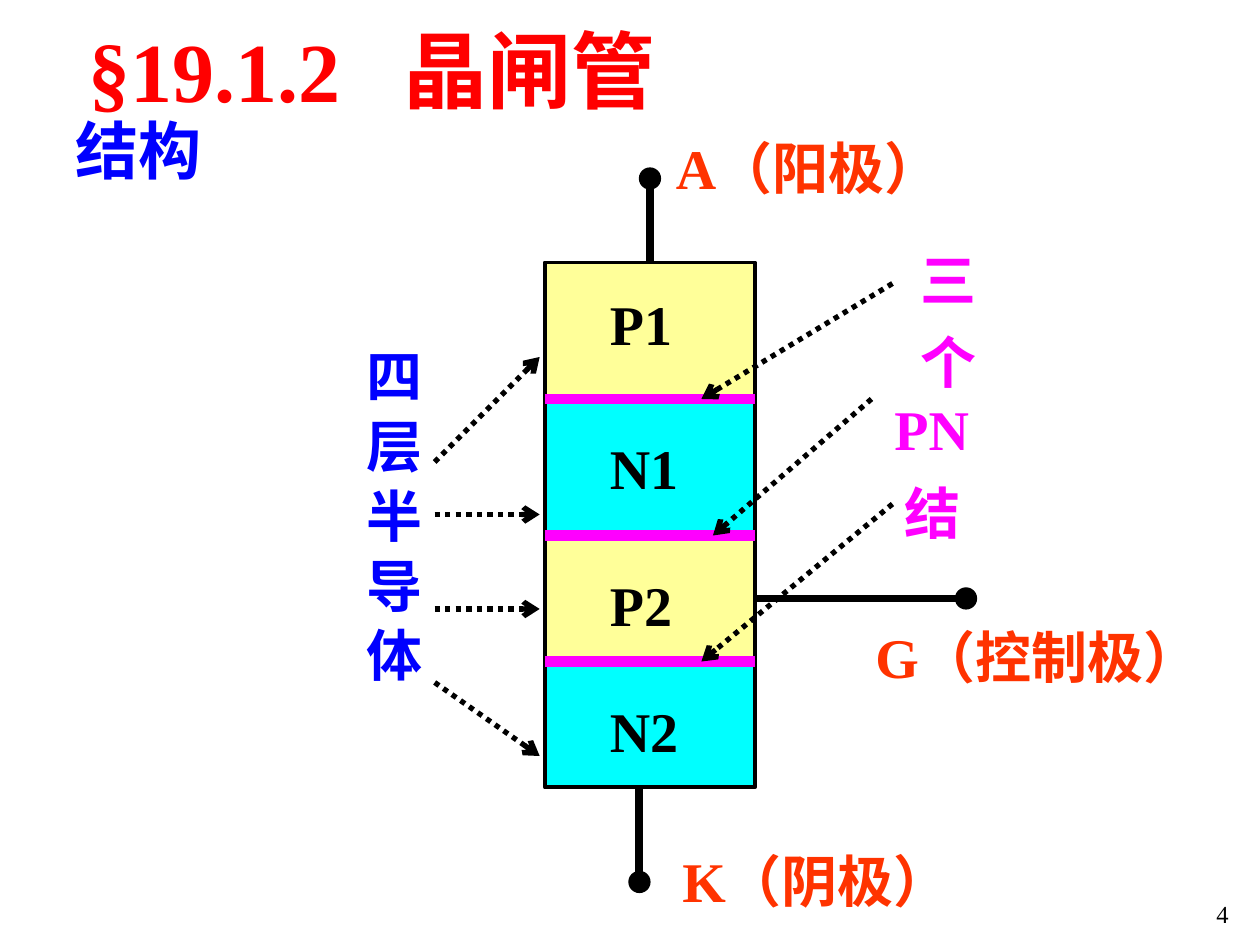
import pptx
import pptx.util
import pptx.dml.color
import pptx.enum.dml
import pptx.enum.shapes
import pptx.enum.text
import pptx.oxml.ns
from lxml import etree

COLUMNS, ROWS = 120, 90
FONT = "Times New Roman"
BLACK, BLUE, RED, ORANGE, MAGENTA = "000000", "0000FF", "FF0000", "FF3300", "FF00FF"
YELLOW, CYAN = "FFFF99", "00FFFF"
BLOCK_LEFT, BLOCK_WIDTH, LABEL_LEFT = 51.9, 20, 56.9

TITLE = "§19.1.2\t晶闸管"
LAYERS = [("P1", 25, 13, YELLOW, 27), ("N1", 38, 13, CYAN, 40.7),
          ("P2", 51, 12, YELLOW, 53.7), ("N2", 63, 12, CYAN, 65.7)]
JUNCTION_ROWS = [38, 51, 63]
CAPTIONS = [
    ("结构", (6, 10, 14.4, 8.4), {"size": 36, "color": BLUE}),
    ("A（阳极）", (63.2, 12.1, 28.9, 7.7), {"color": ORANGE}),
    ("K（阴极）", (63.8, 80, 29.2, 7.7), {"color": ORANGE}),
    ("G（控制极）", (82.2, 58.7, 34.6, 7.7), {"color": ORANGE}),
    ("三\t个", (85.1, 22.8, 8.8, 16), {"color": MAGENTA, "vertical": True, "tab": 0.65}),
    ("PN", (84, 37, 9.5, 7.7), {"color": MAGENTA}),
    ("结", (85, 45, 7.8, 7.7), {"color": MAGENTA}),
    ("四 层 半 导 体", (32.4, 32, 8.8, 42), {"color": BLUE, "vertical": True}),
    ("4", (93.2, 85, 25, 5), {"size": 14, "bold": False, "right": True}),
]
POINTERS = [
    ((41.4, 44), (51.4, 34)), ((41.4, 49), (51.4, 49)),
    ((41.4, 58), (51.4, 58)), ((41.4, 65), (51.4, 72)),
    ((85, 27), (66.8, 38)), ((83, 38), (67.9, 51)), ((85, 48), (66.8, 63)),
]
TERMINALS = [
    {"dot": (61.9, 17), "foot": (61.9, 25), "layer": "P1", "site": 0},
    {"dot": (92, 57), "foot": (71.9, 57), "layer": "P2", "site": 3},
    {"dot": (60.9, 84), "foot": (60.9, 75)},
]

deck = pptx.Presentation()
deck.slide_width, deck.slide_height = pptx.util.Inches(10), pptx.util.Inches(7.5)
page = deck.slides.add_slide(deck.slide_layouts[5])


def rgb(value):
    """Turn a hex string into a colour."""
    return pptx.dml.color.RGBColor.from_string(value)


def grid(*lengths):
    """Turn alternating column and row counts into slide lengths."""
    steps = (deck.slide_width / COLUMNS, deck.slide_height / ROWS)
    return [round(length * steps[i % 2]) for i, length in enumerate(lengths)]


def write(box, text, size=32, color=BLACK, bold=True, right=False, tab=None,
          vertical=False, wrap=False):
    """Put one formatted paragraph in a box."""
    frame = box.text_frame
    frame.word_wrap = wrap or vertical or right
    if vertical:
        frame.margin_left = frame.margin_right = pptx.util.Inches(0.05)
        frame.margin_top = frame.margin_bottom = pptx.util.Inches(0.1)
        frame._txBody.bodyPr.set("vert", "eaVert")
    para = frame.paragraphs[0]
    align = pptx.enum.text.PP_ALIGN
    para.alignment = align.RIGHT if right else align.LEFT
    if tab:
        stops = etree.SubElement(para._p.get_or_add_pPr(), pptx.oxml.ns.qn("a:tabLst"))
        etree.SubElement(stops, pptx.oxml.ns.qn("a:tab"),
                         pos=str(pptx.util.Inches(tab)), algn="l")
    span = para.add_run()
    span.text = text
    span.font.name, span.font.size, span.font.bold = FONT, pptx.util.Pt(size), bold
    span.font.color.rgb = rgb(color)


def caption(text, place, **style):
    """Add a text box on the grid."""
    write(page.shapes.add_textbox(*grid(*place)), text, **style)


def solid(kind, place, fill, width):
    """Add a filled shape with a black outline."""
    shape = page.shapes.add_shape(kind, *grid(*place))
    shape.shadow.inherit = False
    shape.fill.solid()
    shape.fill.fore_color.rgb = rgb(fill)
    shape.line.color.rgb = rgb(BLACK)
    shape.line.width = pptx.util.Pt(width)
    return shape


def stroke(start, end, color, width, arrow=False):
    """Add a straight line, dotted with an arrowhead at its end if asked."""
    line = page.shapes.add_connector(
        pptx.enum.shapes.MSO_CONNECTOR.STRAIGHT, *grid(*start, *end))
    line.line.color.rgb = rgb(color)
    line.line.width = pptx.util.Pt(width)
    if arrow:
        line.line.dash_style = pptx.enum.dml.MSO_LINE.ROUND_DOT
        etree.SubElement(line.line._get_or_add_ln(), pptx.oxml.ns.qn("a:tailEnd"), type="arrow")
    etree.SubElement(line._element.spPr, pptx.oxml.ns.qn("a:effectLst"))
    return line


title = page.shapes.title
title.left, title.top, title.width, title.height = grid(7.2, 2.4, 64, 8.3)
title.text_frame.vertical_anchor = pptx.enum.text.MSO_ANCHOR.MIDDLE
write(title, TITLE, size=48, color=RED, tab=2.5, wrap=True)

shapes = pptx.enum.shapes.MSO_SHAPE
blocks = {}
for name, top, height, fill, label_top in LAYERS:
    blocks[name] = solid(shapes.RECTANGLE, (BLOCK_LEFT, top, BLOCK_WIDTH, height), fill, 2.25)
for row in JUNCTION_ROWS:
    stroke((BLOCK_LEFT, row), (BLOCK_LEFT + BLOCK_WIDTH, row), MAGENTA, 6)
for name, top, height, fill, label_top in LAYERS:
    caption(name, (LABEL_LEFT, label_top, 8.9 if name[0] == "N" else 8.3, 7.7))

for terminal in TERMINALS:
    stem = stroke(terminal["dot"], terminal["foot"], BLACK, 4.5)
    if "layer" in terminal:
        stem.end_connect(blocks[terminal["layer"]], terminal["site"])
    column, row = terminal["dot"]
    solid(shapes.OVAL, (column - 1, row - 1, 2, 2), BLACK, 0.75)

for start, end in POINTERS:
    stroke(start, end, BLACK, 3, arrow=True)
for text, place, style in CAPTIONS:
    caption(text, place, **style)

deck.save("out.pptx")
